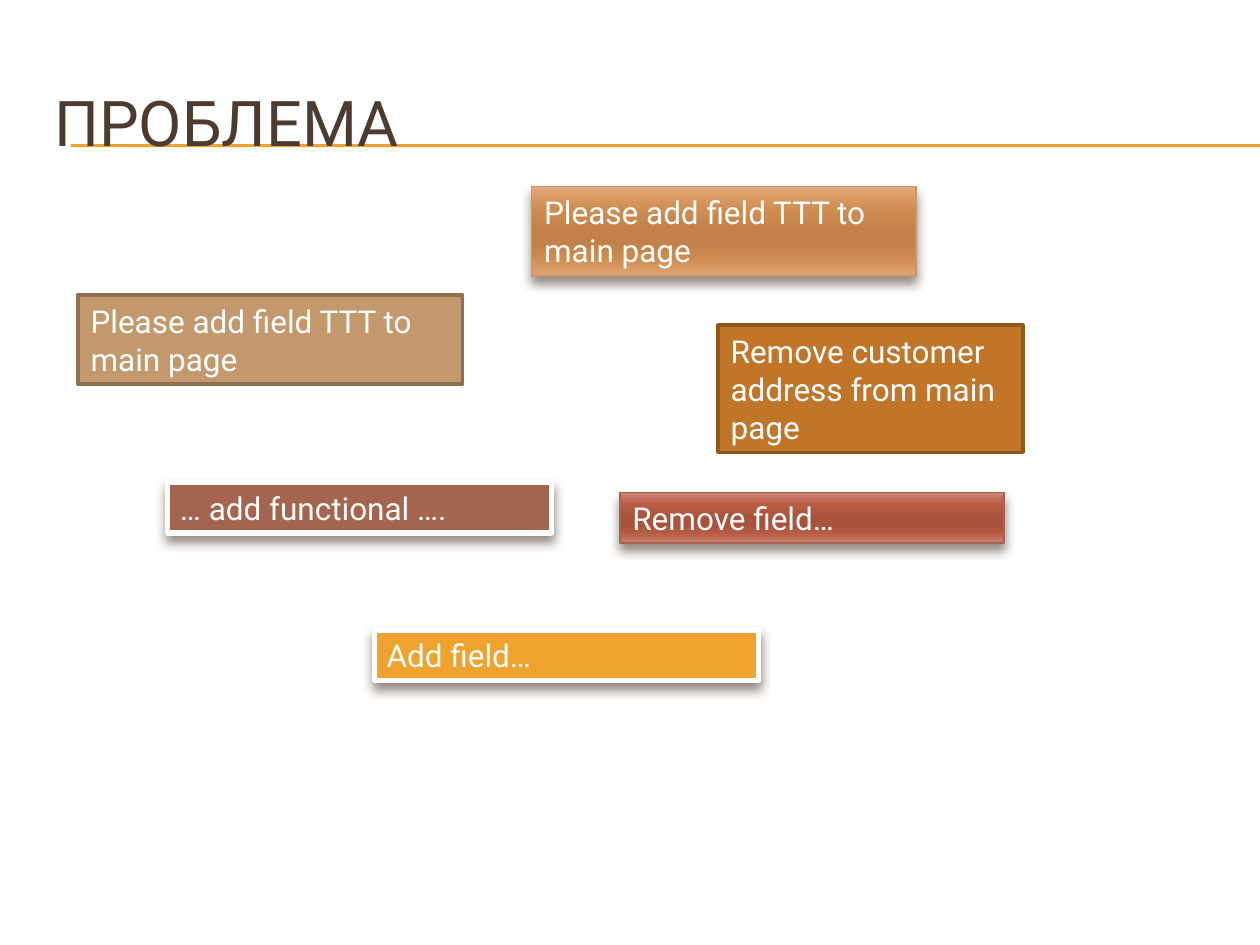
import pptx
import pptx.util
import pptx.dml.color
import pptx.enum.shapes
import pptx.enum.text
import pptx.oxml
import pptx.oxml.ns
from lxml import etree

Inches = pptx.util.Inches
Pt = pptx.util.Pt
qn = pptx.oxml.ns.qn

HUES = {
    "gold": "F0A22E", "brown": "4E3B30", "white": "FFFFFF",
    "tan": "C3986D", "bark": "907051", "amber": "C17529",
    "umber": "8F571E", "brick": "A5644E",
}
STOPS = (0, 25, 50, 65, 80, 100)
RED = ("CD8473", "B75B42", "AA533C", "AA533C", "B65B42", "C77D6B")
SAND = ("E4A97A", "D08D50", "C18148", "C18148", "CF8C4F", "DEA372")


def color(name):
    """Return the named colour."""
    return pptx.dml.color.RGBColor.from_string(HUES[name])


class Deck:
    """Holds the style and the current slide."""

    font = "Roboto"

    def __init__(self):
        """Start a deck with one title-only slide."""
        self.prs = pptx.Presentation()
        self.prs.slide_width, self.prs.slide_height = Inches(10), Inches(7.5)
        self.slide = self.prs.slides.add_slide(self.prs.slide_layouts[5])
        self.shapes = self.slide.shapes

    def label(self, shape, text, size, hue):
        """Put left-aligned, middle-anchored text in a shape."""
        frame = shape.text_frame
        frame.text = text
        frame.word_wrap = True
        frame.vertical_anchor = pptx.enum.text.MSO_ANCHOR.MIDDLE
        para = frame.paragraphs[0]
        para.alignment = pptx.enum.text.PP_ALIGN.LEFT
        font = para.runs[0].font
        font.name, font.size = self.font, Pt(size)
        font.color.rgb = color(hue)

    def title(self, text, left, top, width, height):
        """Place the title in front of what is already drawn."""
        title = self.shapes.title
        title.left, title.top = Inches(left), Inches(top)
        title.width, title.height = Inches(width), Inches(height)
        self.label(title, text, 36, "brown")
        title.text_frame.auto_size = pptx.enum.text.MSO_AUTO_SIZE.NONE
        self.shapes._spTree.append(title._element)

    def rule(self, left, right, top):
        """Draw a thin level line."""
        line = self.shapes.add_connector(
            pptx.enum.shapes.MSO_CONNECTOR.STRAIGHT,
            Inches(left), Inches(top), Inches(right), Inches(top))
        line.line.color.rgb = color("gold")
        line.line.width = Pt(0.75)
        etree.SubElement(line._element.spPr, qn("a:effectLst"))

    def blend(self, shape, hues):
        """Fill a shape with a gradient running downwards."""
        shape.fill.gradient()
        shape.fill.gradient_angle = 270
        stops = shape._element.spPr.find(".//" + qn("a:gsLst"))
        for old in list(stops):
            stops.remove(old)
        for pos, hue in zip(STOPS, hues):
            stop = etree.SubElement(stops, qn("a:gs"), pos=str(pos * 1000))
            etree.SubElement(stop, qn("a:srgbClr"), val=hue)

    def shade(self, shape):
        """Cast a soft shadow below a shape."""
        effect = shape._element.spPr.find(qn("a:effectLst"))
        outer = etree.SubElement(
            effect, qn("a:outerShdw"), blurRad=str(Pt(6)), dist=str(Pt(4)),
            dir="5400000", algn="ctr", rotWithShape="0")
        tint = etree.SubElement(outer, qn("a:srgbClr"), val=HUES["brown"])
        etree.SubElement(tint, qn("a:alpha"), val="60000")

    def note(self, text, left, top, fill, edge, weight,
             width=3.05, height=0.4, shadow=True):
        """Add a request box; fill is a colour name or gradient hues."""
        box = self.shapes.add_shape(
            pptx.enum.shapes.MSO_SHAPE.RECTANGLE,
            Inches(left), Inches(top), Inches(width), Inches(height))
        box.shadow.inherit = False
        if isinstance(fill, str):
            box.fill.solid()
            box.fill.fore_color.rgb = color(fill)
        else:
            self.blend(box, fill)
        box.line.color.rgb = color(edge)
        box.line.width = Pt(weight)
        if shadow:
            self.shade(box)
        self.label(box, text, 18, "white")
        box.text_frame.auto_size = pptx.enum.text.MSO_AUTO_SIZE.SHAPE_TO_FIT_TEXT


def main():
    """Build and save the slide."""
    deck = Deck()
    for top in (1.15, 1.16):
        deck.rule(0.56, 10, top)
    deck.title("ПРОБЛЕМА", 0.33, 0.5, 9.5, 0.92)
    ask = "Please add field TTT to main page"
    deck.note(ask, 0.62, 2.34, "tan", "bark", 2, height=0.71, shadow=False)
    deck.note("Remove customer address from main page", 5.7, 2.58,
              "amber", "umber", 2, width=2.42, height=1.01, shadow=False)
    deck.note("… add functional ….", 1.33, 3.83, "brick", "white", 3)
    deck.note("Add field…", 2.97, 5, "gold", "white", 3)
    deck.note("Remove field…", 4.92, 3.91, RED, "brick", 0.79)
    deck.note(ask, 4.22, 1.48, SAND, "tan", 0.79, height=0.71)
    deck.prs.save("out.pptx")


main()
